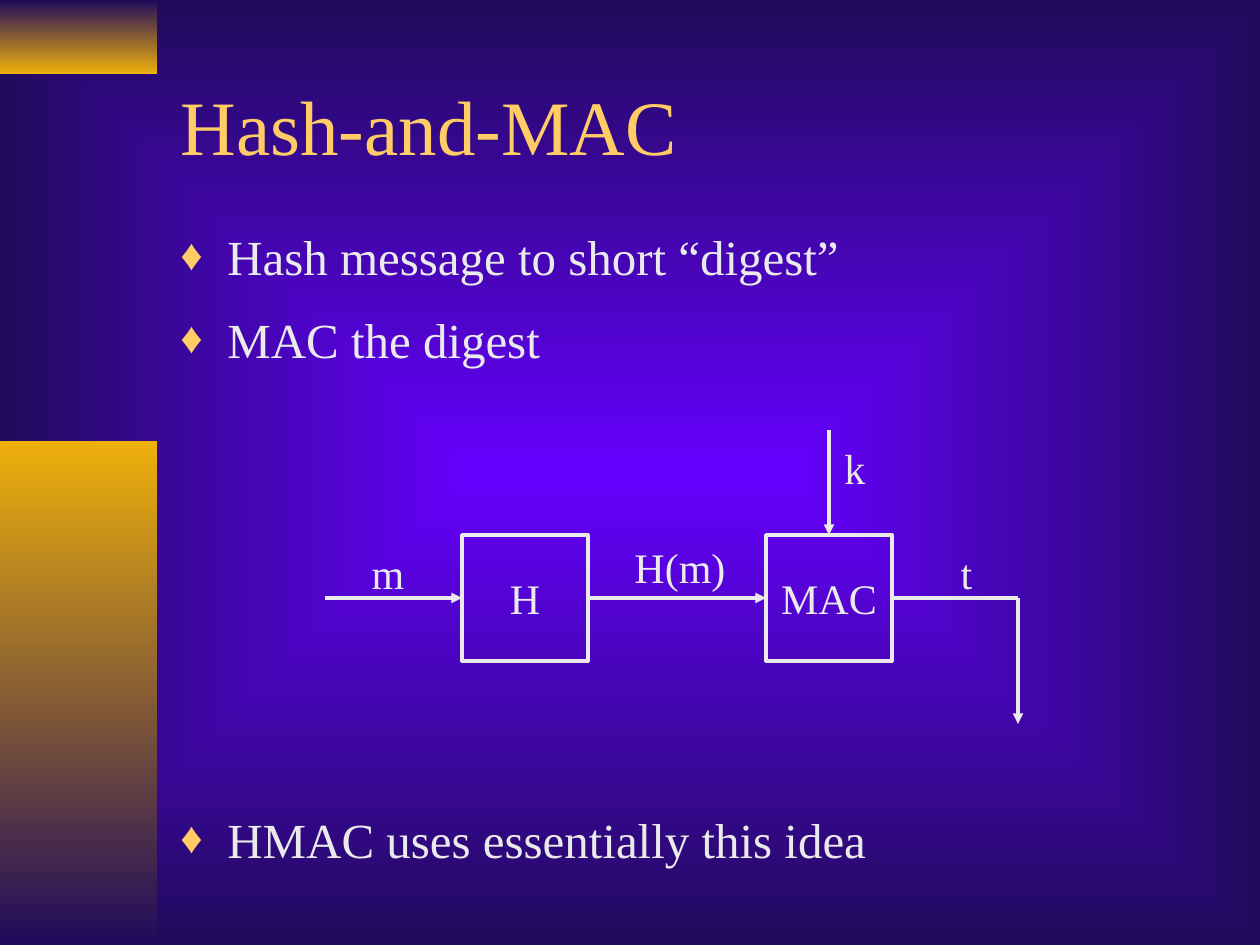
"""Build the Hash-and-MAC slide with its message digest diagram."""
from dataclasses import dataclass

from lxml import etree
from pptx import Presentation
from pptx.dml.color import RGBColor
from pptx.enum import shapes, text
from pptx.oxml.ns import qn
from pptx.util import Emu, Pt

PX = 914400 / 126
NAVY = RGBColor(0x20, 0x0B, 0x5B)
VIOLET = RGBColor(0x66, 0x00, 0xFF)
GOLD = RGBColor(0xEE, 0xB0, 0x0B)
AMBER = RGBColor(0xFF, 0xCC, 0x66)
PALE = RGBColor(0xEA, 0xEA, 0xEA)
FONT = "Times New Roman"
CENTERED = {"alignment": text.PP_ALIGN.CENTER}
MIDDLE = {"vertical_anchor": text.MSO_ANCHOR.MIDDLE}
LABEL_FRAME = {"word_wrap": False, "auto_size": text.MSO_AUTO_SIZE.SHAPE_TO_FIT_TEXT}


@dataclass(frozen=True)
class Box:
    left: int
    top: int
    width: int
    height: int
    words: str = ""


@dataclass(frozen=True)
class Line:
    start: tuple[int, int]
    end: tuple[int, int]
    arrow: bool = True


@dataclass(frozen=True)
class Bullet:
    words: str
    space_before: int = 0


BANDS = ((Box(0, 0, 157, 74), (NAVY, GOLD)), (Box(0, 441, 157, 504), (GOLD, NAVY)))
TITLE = Box(168, 42, 1071, 166, "Hash-and-MAC")
BODY = Box(168, 220, 1071, 693)
BULLETS = (
    Bullet("Hash message to short “digest”"),
    Bullet("MAC the digest", 14),
    Bullet("HMAC uses essentially this idea", 252),
)
BLOCKS = (Box(462, 535, 126, 126, "H"), Box(766, 535, 126, 126, "MAC"))
LABELS = (
    Box(359, 541, 58, 63, "m"),
    Box(622, 535, 116, 63, "H(m)"),
    Box(832, 436, 45, 63, "k"),
    Box(948, 541, 37, 63, "t"),
)
LINES = (
    Line((325, 598), (462, 598)),
    Line((588, 598), (766, 598)),
    Line((829, 430), (829, 535)),
    Line((892, 598), (1018, 598), arrow=False),
    Line((1018, 598), (1018, 724)),
)


def px(length: int) -> Emu:
    return Emu(round(length * PX))


def frame(box: Box) -> tuple:
    return px(box.left), px(box.top), px(box.width), px(box.height)


def apply(target, values: dict) -> None:
    for name, value in values.items():
        setattr(target, name, value)


def format_font(paragraph, size: int, color: RGBColor) -> None:
    apply(paragraph.font, {"name": FONT, "size": Pt(size)})
    paragraph.font.color.rgb = color


def set_gradient(fill, colors: tuple, angle: int = 270) -> None:
    fill.gradient()
    fill.gradient_angle = angle
    for stop, color in zip(fill.gradient_stops, colors):
        stop.color.rgb = color


def set_background(slide) -> None:
    set_gradient(slide.background.fill, (VIOLET, NAVY))
    linear = next(slide.background._cSld.iter(qn("a:lin")))
    gradient = linear.getparent()
    radial = etree.Element(qn("a:path"), {"path": "rect"})
    etree.SubElement(radial, qn("a:fillToRect"), {side: "50000" for side in "ltrb"})
    gradient.replace(linear, radial)


def add_rectangle(slide, box: Box):
    shape = slide.shapes.add_shape(shapes.MSO_SHAPE.RECTANGLE, *frame(box))
    shape.shadow.inherit = False
    return shape


def add_band(slide, box: Box, colors: tuple) -> None:
    shape = add_rectangle(slide, box)
    shape.line.fill.background()
    set_gradient(shape.fill, colors)


def write_words(shape, words: str, size: int, color: RGBColor, frame_format: dict, paragraph_format: dict) -> None:
    apply(shape.text_frame, frame_format)
    paragraph = shape.text_frame.paragraphs[0]
    paragraph.text = words
    apply(paragraph, paragraph_format)
    format_font(paragraph, size, color)


def add_title(slide, box: Box) -> None:
    title = slide.shapes.title
    apply(title, dict(zip(("left", "top", "width", "height"), frame(box))))
    write_words(title, box.words, 44, AMBER, MIDDLE, {"alignment": text.PP_ALIGN.LEFT})


def add_bullets(slide, box: Box, bullets: tuple) -> None:
    text_frame = slide.shapes.add_textbox(*frame(box)).text_frame
    text_frame.word_wrap = True
    for index, bullet in enumerate(bullets):
        paragraph = text_frame.add_paragraph() if index else text_frame.paragraphs[0]
        paragraph.text = bullet.words
        paragraph.space_before = Pt(bullet.space_before)
        properties = paragraph._p.get_or_add_pPr()
        indent = px(47)
        properties.set("marL", str(indent))
        properties.set("indent", str(-indent))
        color = etree.SubElement(properties, qn("a:buClr"))
        etree.SubElement(color, qn("a:srgbClr"), {"val": str(AMBER)})
        etree.SubElement(properties, qn("a:buSzPct"), {"val": "90000"})
        etree.SubElement(properties, qn("a:buFont"), {"typeface": FONT})
        etree.SubElement(properties, qn("a:buChar"), {"char": "♦"})
        format_font(paragraph, 28, PALE)


def set_outline(shape) -> None:
    shape.line.color.rgb = PALE
    shape.line.width = Pt(2)


def add_block(slide, box: Box) -> None:
    shape = add_rectangle(slide, box)
    shape.fill.background()
    set_outline(shape)
    write_words(shape, box.words, 24, PALE, {"word_wrap": False, **MIDDLE}, CENTERED)


def add_label(slide, box: Box) -> None:
    shape = slide.shapes.add_textbox(*frame(box))
    write_words(shape, box.words, 24, PALE, LABEL_FRAME, CENTERED)


def add_line(slide, line: Line) -> None:
    points = [px(length) for length in line.start + line.end]
    connector = slide.shapes.add_connector(shapes.MSO_CONNECTOR.STRAIGHT, *points)
    set_outline(connector)
    if line.arrow:
        etree.SubElement(connector.line._get_or_add_ln(), qn("a:tailEnd"), {"type": "triangle"})
    etree.SubElement(connector._element.spPr, qn("a:effectLst"))


def main() -> None:
    presentation = Presentation()
    apply(presentation, {"slide_width": px(1260), "slide_height": px(945)})
    slide = presentation.slides.add_slide(presentation.slide_layouts.get_by_name("Title Only"))
    set_background(slide)
    for box, colors in BANDS:
        add_band(slide, box, colors)
    add_title(slide, TITLE)
    add_bullets(slide, BODY, BULLETS)
    for draw, items in ((add_block, BLOCKS), (add_line, LINES), (add_label, LABELS)):
        for item in items:
            draw(slide, item)
    presentation.save("out.pptx")


if __name__ == "__main__":
    main()
